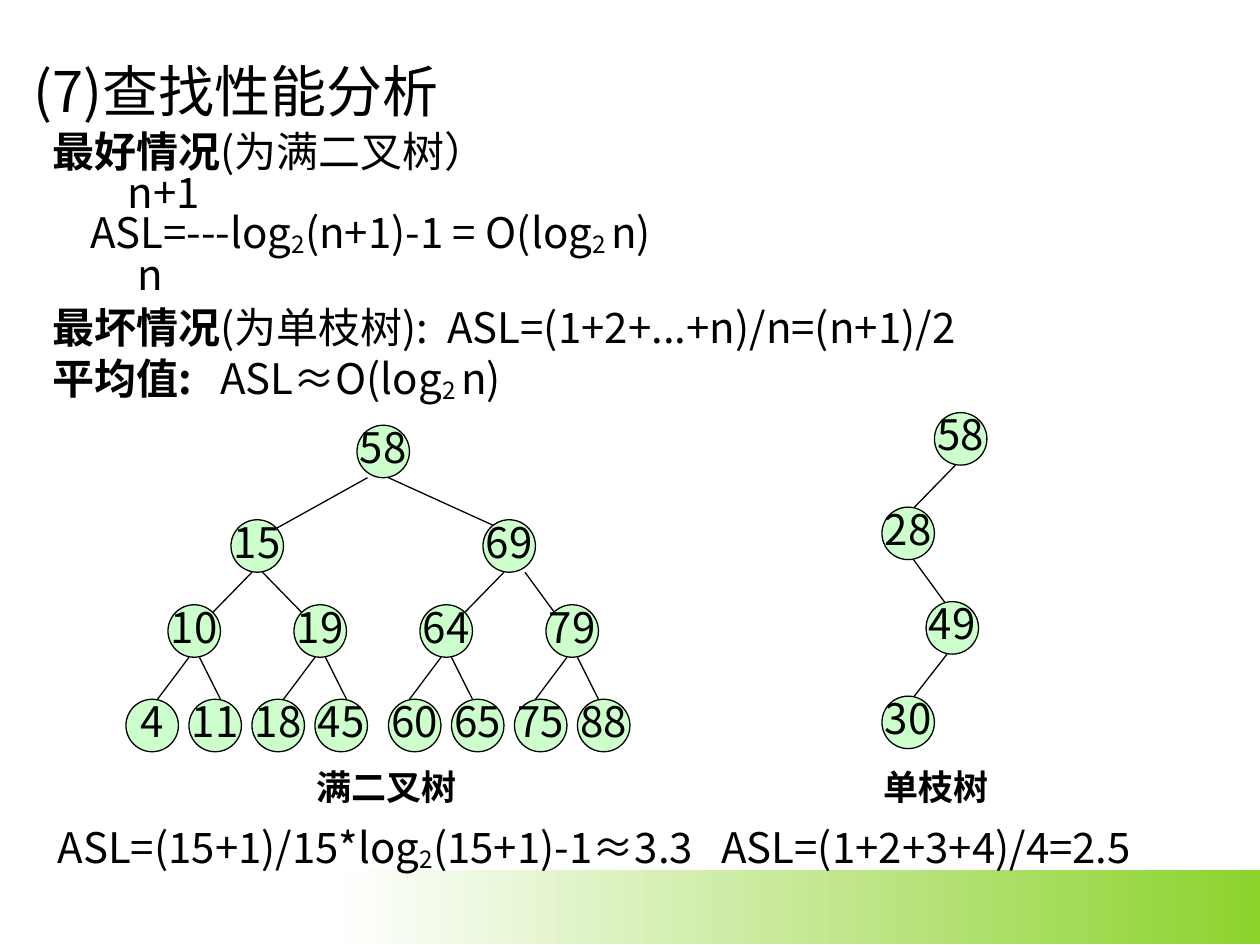
import pptx
import pptx.util
import pptx.dml.color
import pptx.enum.shapes
import pptx.enum.text
import pptx.oxml.ns
import lxml.etree

PX = 7620  # 120 px to the inch
FONT = "Noto Sans CJK SC"
BLACK, NODE_FILL = "000000", "CCFFCC"
D = 50  # node diameter


def px(n):
    return pptx.util.Emu(n * PX)


def rgb(hex_string):
    return pptx.dml.color.RGBColor.from_string(hex_string)


def sub(parent, tag, **attrs):
    return lxml.etree.SubElement(parent, pptx.oxml.ns.qn(tag), attrs)


def add_run(p, text, size=24, bold=False, lowered=False, spacing=0):
    """Spacing is extra width per letter, in hundredths of a point."""
    r = p.add_run()
    r.text = text
    r.font.size = pptx.util.Pt(size)
    r.font.bold = bold
    r.font.color.rgb = rgb(BLACK)
    r.font.name = FONT
    rPr = r.font._element
    sub(rPr, "a:ea", typeface=FONT)
    if lowered:
        rPr.set("baseline", "-12000")
    if spacing:
        rPr.set("spc", str(spacing))


def add_text(s, x, y, w, h):
    tf = s.shapes.add_textbox(px(x), px(y), px(w), px(h)).text_frame
    tf.word_wrap = True
    return tf


def add_node(s, x, y, label):
    sp = s.shapes.add_shape(pptx.enum.shapes.MSO_SHAPE.OVAL, px(x), px(y), px(D), px(D))
    sp.shadow.inherit = False
    sp.fill.solid()
    sp.fill.fore_color.rgb = rgb(NODE_FILL)
    sp.line.color.rgb = rgb(BLACK)
    sp.line.width = pptx.util.Pt(0.75)
    tf = sp.text_frame
    tf.word_wrap = False
    tf.vertical_anchor = pptx.enum.text.MSO_ANCHOR.MIDDLE
    p = tf.paragraphs[0]
    p.alignment = pptx.enum.text.PP_ALIGN.CENTER
    p.line_spacing = 0.8
    add_run(p, str(label))


def add_edge(s, x1, y1, x2, y2):
    c = s.shapes.add_connector(
        pptx.enum.shapes.MSO_CONNECTOR.STRAIGHT, px(x1), px(y1), px(x2), px(y2))
    c.line.color.rgb = rgb(BLACK)
    c.line.width = pptx.util.Pt(0.75)
    sub(c._element.spPr, "a:effectLst")


def add_caption(s, x, y, w, text):
    tf = add_text(s, x, y, w, 53)
    add_run(tf.paragraphs[0], text, 20, bold=True)


def add_band(s, x, y, w, h):
    sp = s.shapes.add_shape(pptx.enum.shapes.MSO_SHAPE.RECTANGLE, px(x), px(y), px(w), px(h))
    sp.shadow.inherit = False
    sp.line.fill.background()
    sp.fill.gradient()
    sp.fill.gradient_angle = 0
    for stop, position, color in zip(sp.fill.gradient_stops, (0, 1), ("FFFFFF", "8CD32D")):
        stop.position = position
        stop.color.rgb = rgb(color)


def add_analysis(s, x, y, w, h):
    two = {"lowered": True}
    bold = {"bold": True}
    # line height in points, indent, runs
    lines = [
        (43, 0, [("(7)查找性能分析", {"size": 32})]),
        (30, 18, [("最好情况", bold), ("(为满二叉树）", {})]),
        (23.5, 90, [("n+1", {})]),
        (23.5, 54, [("ASL=---log", {}), ("2", two), ("(n+1)-1 = O(log", {}),
                    ("2 ", two), ("n)", {})]),
        (23.5, 99, [("n", {})]),
        (30, 18, [("最坏情况", bold), ("(为单枝树):", {}), (" ", {"spacing": 540}),
                  ("ASL=(1+2+...+n)/n=(n+1)/2", {})]),
        (30, 18, [("平均值:", bold), (" ", {"spacing": 1080}), ("ASL≈O(log", {}),
                  ("2 ", two), ("n)", {})]),
    ]
    tf = add_text(s, x, y, w, h)
    for i, (height, indent, runs) in enumerate(lines):
        p = tf.add_paragraph() if i else tf.paragraphs[0]
        p.line_spacing = pptx.util.Pt(height)
        p._p.get_or_add_pPr().set("indent", str(indent * PX))
        for text, style in runs:
            add_run(p, text, **style)


def add_full_tree(s, x, y):
    tops = [0, 90, 171, 261]
    levels = [
        {220: 58},
        {100: 15, 340: 69},
        {40: 10, 160: 19, 280: 64, 400: 79},
        {0: 4, 60: 11, 120: 18, 180: 45, 250: 60, 310: 65, 370: 75, 430: 88},
    ]
    # start and end x of the edges below each level
    edges = [
        [(230, 140), (250, 360)],
        [(120, 80), (130, 170), (360, 320), (380, 410)],
        [(left + dx, left + end) for left in levels[2]
         for dx, end in ((20, -10), (30, 50))],
    ]
    for i, pairs in enumerate(edges):
        reach = 10 if i < 2 else 0
        for x1, x2 in pairs:
            add_edge(s, x + x1, y + tops[i] + D, x + x2, y + tops[i + 1] + reach)
    for top, level in zip(tops, levels):
        for left, label in level.items():
            add_node(s, x + left, y + top, label)
    add_caption(s, x + 170, y + 318, 190, "满二叉树")


def add_chain_tree(s, x, y):
    step = 90
    nodes = [(50, 58), (0, 28), (42, 49), (0, 30)]
    edges = [(70, 30), (30, 60), (62, 30)]
    for i, (x1, x2) in enumerate(edges):
        add_edge(s, x + x1, y + i * step + D, x + x2, y + (i + 1) * step + 1)
    for i, (left, label) in enumerate(nodes):
        add_node(s, x + left, y + i * step, label)
    add_caption(s, x - 10, y + 330, 160, "单枝树")


def add_results(s, x, y, w, h):
    p = add_text(s, x, y, w, h).paragraphs[0]
    add_run(p, "ASL=(15+1)/15*log")
    add_run(p, "2", lowered=True)
    add_run(p, "(15+1)-1≈3.3")
    add_run(p, " ", spacing=1080)
    add_run(p, "ASL=(1+2+3+4)/4=2.5")


def main():
    prs = pptx.Presentation()
    prs.slide_width, prs.slide_height = px(1200), px(900)
    s = prs.slides.add_slide(prs.slide_layouts[6])
    add_band(s, 320, 829, 880, 70)
    add_analysis(s, 20, 40, 1180, 400)
    add_full_tree(s, 120, 405)
    add_chain_tree(s, 840, 393)
    add_results(s, 43, 776, 1120, 61)
    prs.save("out.pptx")


if __name__ == "__main__":
    main()
